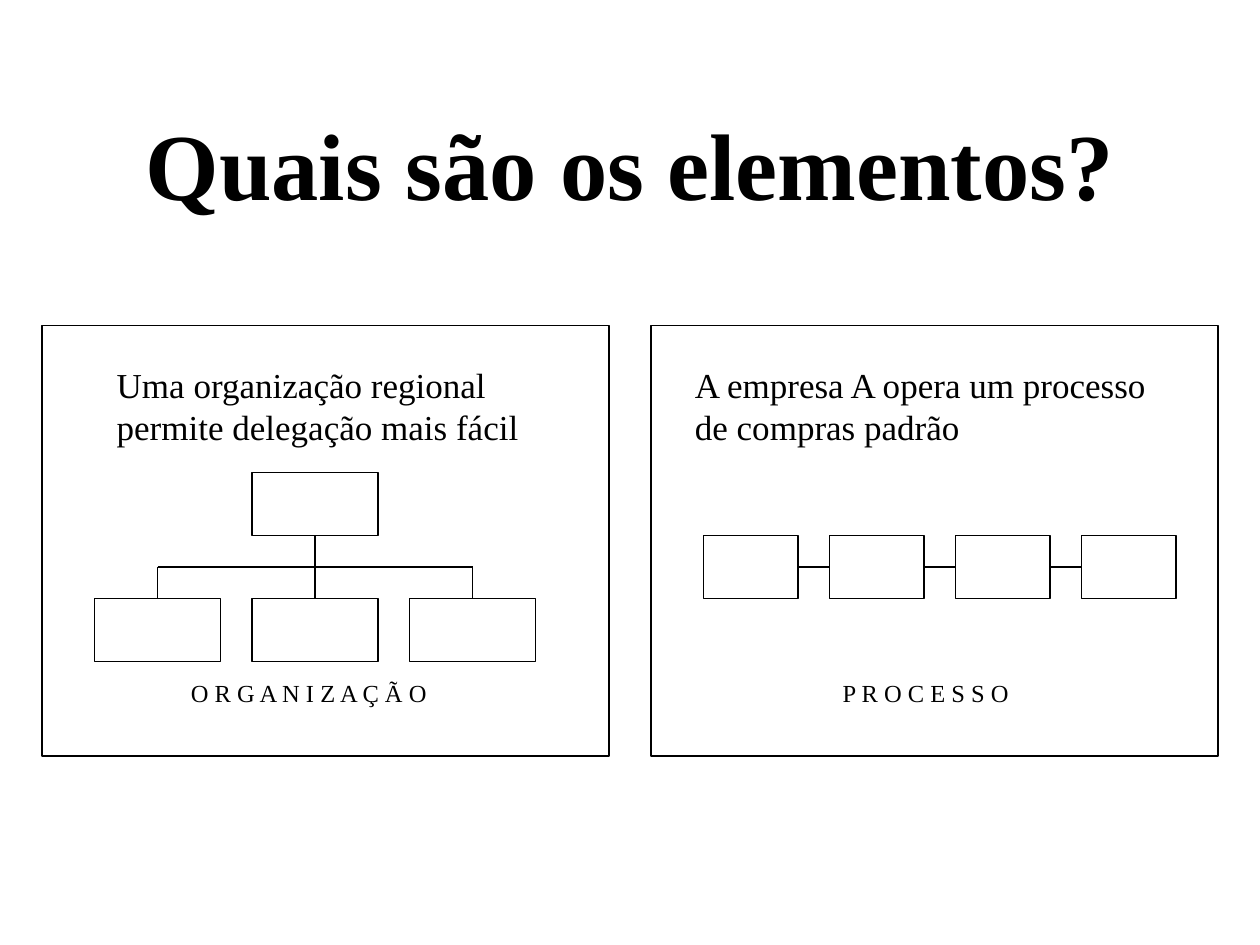
from pptx import Presentation
from pptx.dml.color import RGBColor
from pptx.enum.shapes import MSO_CONNECTOR, MSO_SHAPE
from pptx.enum.text import MSO_ANCHOR, PP_ALIGN
from pptx.oxml.ns import qn
from pptx.util import Pt
from lxml import etree

RECTANGLE = MSO_SHAPE.RECTANGLE
STRAIGHT = MSO_CONNECTOR.STRAIGHT
LEFT, CENTER = PP_ALIGN.LEFT, PP_ALIGN.CENTER
TOP, MIDDLE = MSO_ANCHOR.TOP, MSO_ANCHOR.MIDDLE

FONT = "Times New Roman"
BLACK, WHITE = "000000", "FFFFFF"
LINE_WIDTH = 0.75
PANEL_TOP, PANEL_WIDTH, PANEL_HEIGHT = 186, 324, 246
TEXT_TOP, LABEL_TOP = 204, 384
BOX_HEIGHT = 36


def color(hex_code):
    return RGBColor.from_string(hex_code)


def add_text(page, text, left, top, width, height, size=20, bold=False,
             align=LEFT, anchor=TOP, wrap=False):
    """Add a text box with one paragraph for each line of text."""
    box = page.shapes.add_textbox(Pt(left), Pt(top), Pt(width), Pt(height))
    frame = box.text_frame
    frame.word_wrap = wrap
    frame.vertical_anchor = anchor
    frame.text = text
    for para in frame.paragraphs:
        para.alignment = align
        for span in para.runs:
            span.font.name = FONT
            span.font.size = Pt(size)
            span.font.bold = bold
            span.font.color.rgb = color(BLACK)


def add_box(page, left, top, width, height, fill=None):
    box = page.shapes.add_shape(RECTANGLE, Pt(left), Pt(top), Pt(width), Pt(height))
    box.shadow.inherit = False
    if fill:
        box.fill.solid()
        box.fill.fore_color.rgb = color(fill)
    else:
        box.fill.background()
    box.line.color.rgb = color(BLACK)
    box.line.width = Pt(LINE_WIDTH)


def add_line(page, x1, y1, x2, y2):
    line = page.shapes.add_connector(STRAIGHT, Pt(x1), Pt(y1), Pt(x2), Pt(y2))
    line.line.color.rgb = color(BLACK)
    line.line.width = Pt(LINE_WIDTH)
    etree.SubElement(line._element.spPr, qn("a:effectLst"))


def add_organization(page):
    """Draw one parent box over three children, joined by a shared bar."""
    width, middle, pitch = 72, 180, 90
    parent_top, bar, child_top = 270, 324, 342
    centers = [middle - pitch, middle, middle + pitch]

    add_box(page, middle - width / 2, parent_top, width, BOX_HEIGHT)
    for center in centers:
        add_box(page, center - width / 2, child_top, width, BOX_HEIGHT)

    add_line(page, centers[0], bar, centers[-1], bar)
    for center in centers:
        start = parent_top + BOX_HEIGHT if center == middle else bar
        add_line(page, center, start, center, child_top)


def add_process(page):
    """Draw four filled steps over one line."""
    left, top, width, pitch, count = 402, 306, 54, 72, 4
    middle = top + BOX_HEIGHT / 2
    last = left + (count - 1) * pitch
    add_line(page, left + width / 2, middle, last + width / 2, middle)
    for step in range(count):
        add_box(page, left + step * pitch, top, width, BOX_HEIGHT, fill=WHITE)


def main():
    deck = Presentation()
    deck.slide_width, deck.slide_height = Pt(720), Pt(540)
    page = deck.slides.add_slide(deck.slide_layouts[6])

    # Title
    add_text(page, "Quais são os elementos?", 54, 48, 612, 90, size=54,
             bold=True, align=CENTER, anchor=MIDDLE, wrap=True)

    # Organization panel
    add_organization(page)
    add_text(page, "O R G A N I Z A Ç Ã O", 102, LABEL_TOP, 155.5, 24.5, size=14)
    add_text(page, "Uma organização regional\npermite delegação mais fácil",
             59.6, TEXT_TOP, 244, 55.5)
    add_box(page, 24, PANEL_TOP, PANEL_WIDTH, PANEL_HEIGHT)

    # Process panel
    add_process(page)
    add_text(page, "P R O C E S S O", 474.5, LABEL_TOP, 113, 24.5, size=14)
    add_text(page, "A empresa A opera um processo de compras padrão",
             390, TEXT_TOP, 276, 55.5, wrap=True)
    add_box(page, 372, PANEL_TOP, PANEL_WIDTH, PANEL_HEIGHT)

    deck.save("out.pptx")


if __name__ == "__main__":
    main()
